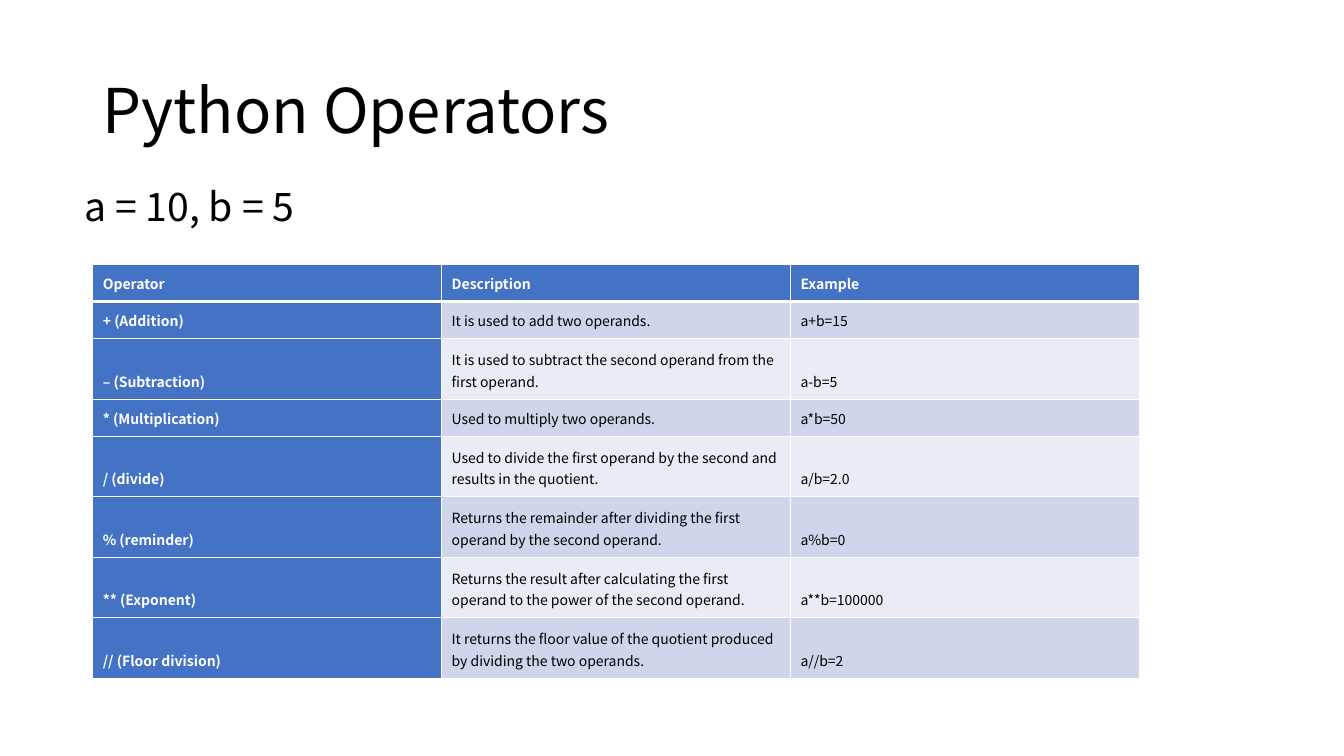
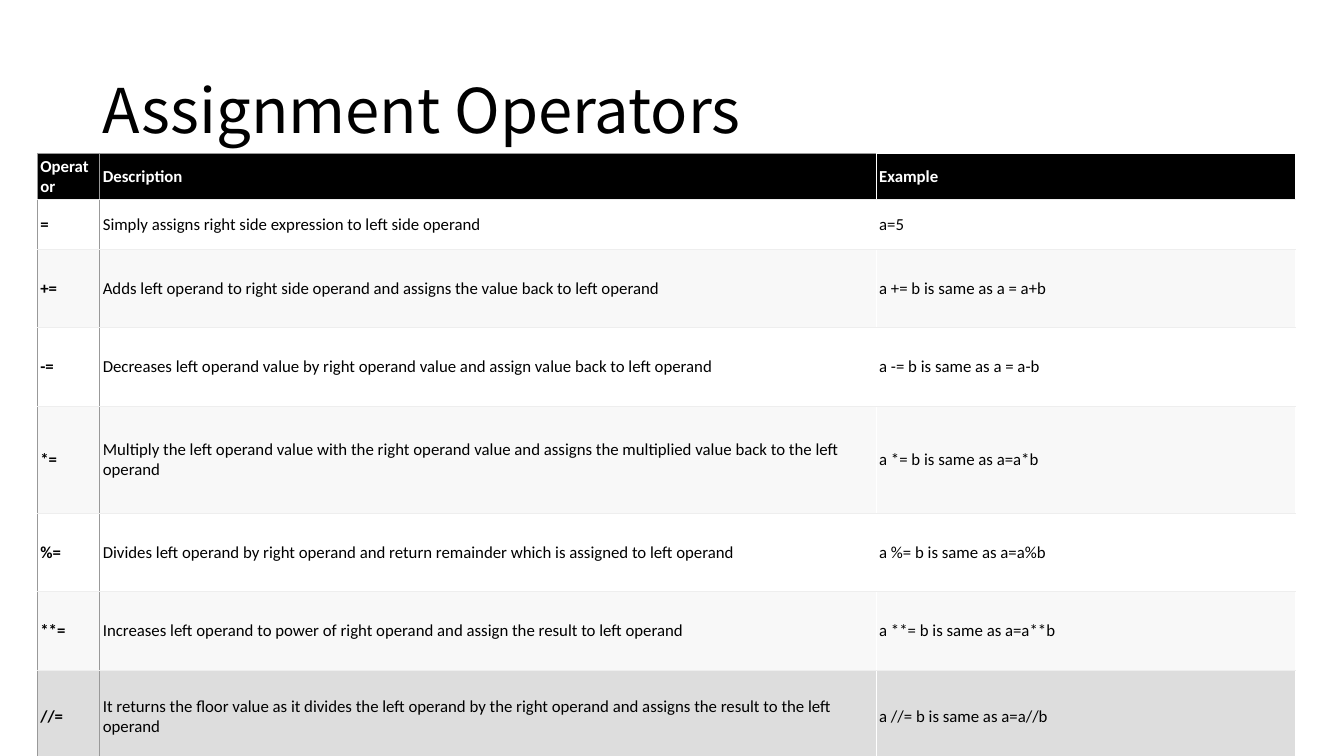
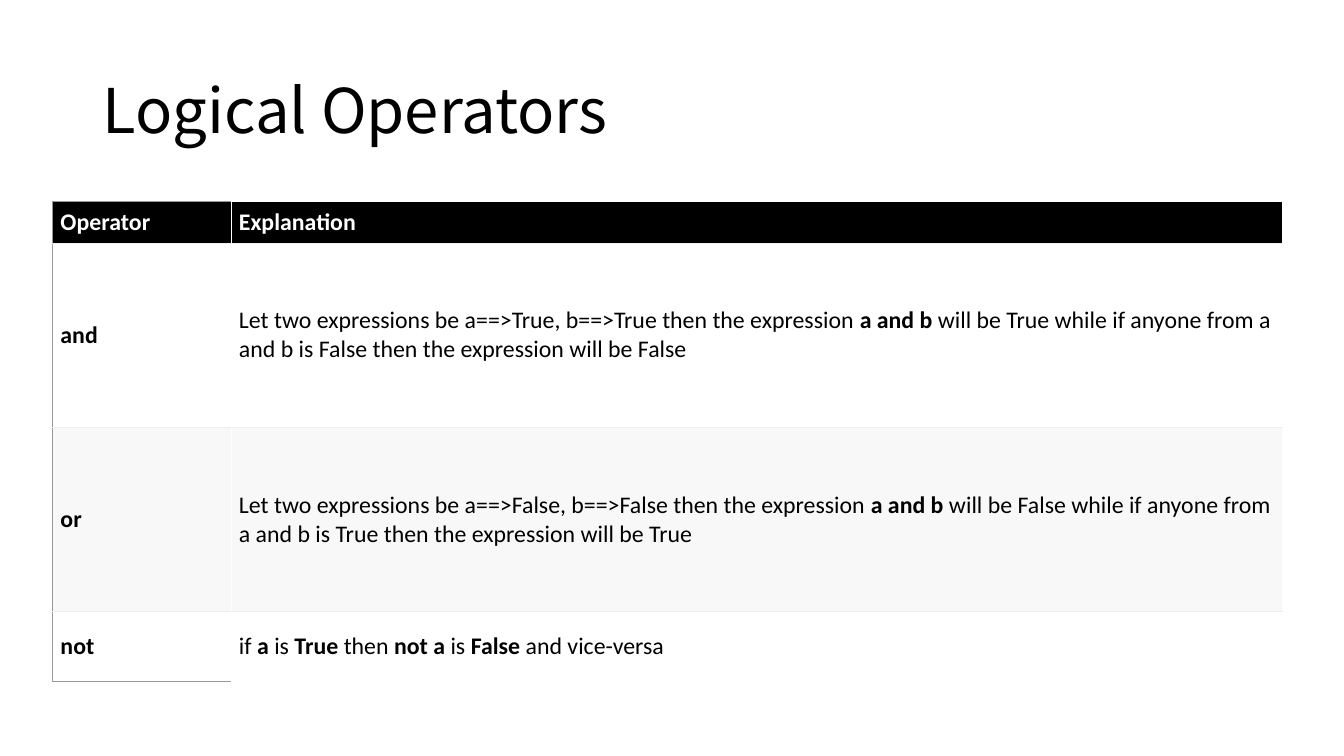
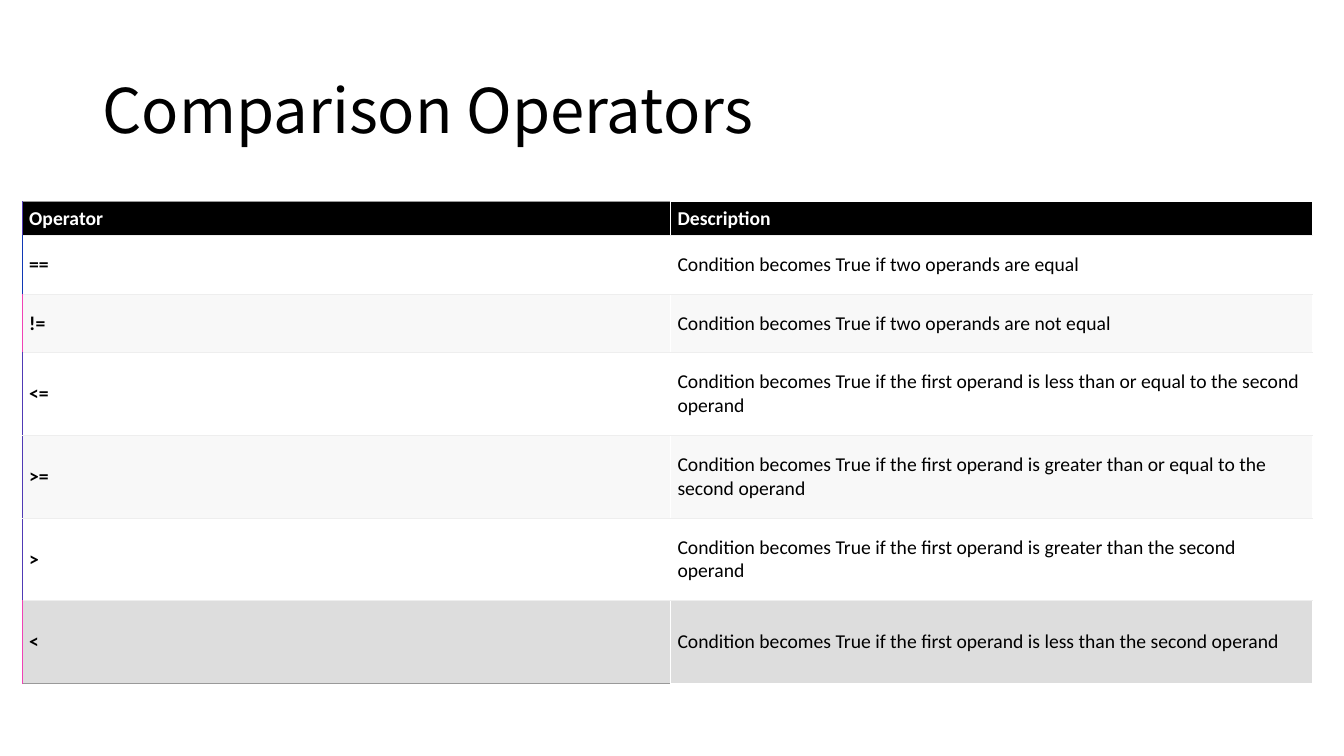
from dataclasses import dataclass
from lxml.etree import SubElement
from pptx import Presentation
from pptx.dml.color import RGBColor
from pptx.enum.text import MSO_ANCHOR
from pptx.oxml.ns import qn
from pptx.util import Inches, Pt

BLACK = RGBColor(0x00, 0x00, 0x00)
WHITE = RGBColor(0xFF, 0xFF, 0xFF)
BLUE = RGBColor(0x44, 0x72, 0xC4)
BAND = RGBColor(0xCF, 0xD5, 0xEA)
PALE = RGBColor(0xE9, 0xEB, 0xF5)
MIST = RGBColor(0xF8, 0xF8, 0xF8)
ASH = RGBColor(0xDD, 0xDD, 0xDD)
RULE = RGBColor(0xEE, 0xEE, 0xEE)
EDGE = RGBColor(0x99, 0x99, 0x99)
NAVY = RGBColor(0x10, 0x38, 0xB5)
PLUM = RGBColor(0x50, 0x3A, 0xB5)
PINK = RGBColor(0xF0, 0x42, 0xB5)

SANS = "Noto Sans CJK KR"
BODY = "Calibri"

MATH = [
    ("Operator", "Description", "Example"),
    ("+ (Addition)", "It is used to add two operands.", "a+b=15"),
    ("– (Subtraction)", "It is used to subtract the second operand from the first operand.", "a-b=5"),
    ("* (Multiplication)", "Used to multiply two operands.", "a*b=50"),
    ("/ (divide)", "Used to divide the first operand by the second and results in the quotient.", "a/b=2.0"),
    ("% (reminder)", "Returns the remainder after dividing the first operand by the second operand.", "a%b=0"),
    ("** (Exponent)", "Returns the result after calculating the first operand to the power of the second operand.",
     "a**b=100000"),
    ("// (Floor division)", "It returns the floor value of the quotient produced by dividing the two operands.",
     "a//b=2"),
]
ASSIGN = [
    ("Operator", "Description", "Example"),
    ("=", "Simply assigns right side expression to left side operand", "a=5"),
    ("+=", "Adds left operand to right side operand and assigns the value back to left operand",
     "a += b is same as a = a+b"),
    ("-=", "Decreases left operand value by right operand value and assign value back to left operand",
     "a -= b is same as a = a-b"),
    ("*=", "Multiply the left operand value with the right operand value and assigns the multiplied value "
     "back to the left operand", "a *= b is same as a=a*b"),
    ("%=", "Divides left operand by right operand and return remainder which is assigned to left operand",
     "a %= b is same as a=a%b"),
    ("**=", "Increases left operand to power of right operand and assign the result to left operand",
     "a **= b is same as a=a**b"),
    ("//=", "It returns the floor value as it divides the left operand by the right operand and assigns "
     "the result to the left operand", "a //= b is same as a=a//b"),
]
LOGIC = [
    ("Operator", "Explanation"),
    ("and", ("Let two expressions be a==>True, b==>True then the expression ", "a and b",
             " will be True while if anyone from a and b is False then the expression will be False")),
    ("or", ("Let two expressions be a==>False, b==>False then the expression ", "a and b",
            " will be False while if anyone from a and b is True then the expression will be True")),
    ("not", ("if ", "a ", "is ", "True ", "then ", "not a", " is ", "False ", "and vice-versa")),
]
COMPARE = [
    ("Operator", "Description"),
    ("==", "Condition becomes True if two operands are equal"),
    ("!=", "Condition becomes True if two operands are not equal"),
    ("<=", "Condition becomes True if the first operand is less than or equal to the second operand"),
    (">=", "Condition becomes True if the first operand is greater than or equal to the second operand"),
    (">", "Condition becomes True if the first operand is greater than the second operand"),
    ("<", "Condition becomes True if the first operand is less than the second operand"),
]


@dataclass
class Style:
    font: str
    size: int
    inset: tuple
    anchor: MSO_ANCHOR
    spacing: float = 1.0
    after: int = 0


def add_run(para, text, font, size, color=BLACK, bold=False):
    run = para.add_run()
    run.text = text
    run.font.name = font
    run.font.size = Pt(size)
    run.font.bold = bold
    run.font.color.rgb = color


def add_text(slide, text, box, size, anchor, before=0):
    frame = slide.shapes.add_textbox(*map(Inches, box)).text_frame
    frame.word_wrap = True
    frame.vertical_anchor = anchor
    para = frame.paragraphs[0]
    para.line_spacing = 0.9
    para.space_before = Pt(before)
    add_run(para, text, SANS, size)


def add_slide(deck, title):
    slide = deck.slides.add_slide(deck.slide_layouts[6])
    add_text(slide, title, (0.92, 0.4, 11.5, 1.45), 44, MSO_ANCHOR.MIDDLE)
    return slide


def draw_edges(cell, sides):
    props = cell._tc.get_or_add_tcPr()
    for side in "LRTB":
        color, width = sides[side]
        line = SubElement(props, qn(f"a:ln{side}"), w=str(Pt(width)))
        fill = SubElement(line, qn("a:solidFill"))
        SubElement(fill, qn("a:srgbClr"), val=str(color))


def fill_cell(cell, content, style, fill, color, bold, sides):
    draw_edges(cell, sides)
    cell.fill.solid()
    cell.fill.fore_color.rgb = fill
    cell.vertical_anchor = style.anchor
    wide, high = map(Inches, style.inset)
    cell.margin_left = cell.margin_right = wide
    cell.margin_top = cell.margin_bottom = high
    para = cell.text_frame.paragraphs[0]
    para.line_spacing = style.spacing
    para.space_after = Pt(style.after)
    parts = (content,) if isinstance(content, str) else content
    for i, part in enumerate(parts):
        add_run(para, part, style.font, style.size, color, bold or i % 2 == 1)


def add_grid(slide, data, left, top, cols, rows, style, paint, border):
    frame = slide.shapes.add_table(len(rows), len(cols), Inches(left), Inches(top),
                                   Inches(sum(cols)), Inches(sum(rows)))
    table = frame.table
    table.first_row = table.horz_banding = False
    for col, width in zip(table.columns, cols):
        col.width = Inches(width)
    for row, height in zip(table.rows, rows):
        row.height = Inches(height)
    for r, line in enumerate(data):
        for c, content in enumerate(line):
            fill, color = paint(r, c)
            fill_cell(table.cell(r, c), content, style, fill, color,
                      r == 0 or c == 0, border(r, c))


def blue_paint(r, c):
    if r == 0 or c == 0:
        return BLUE, WHITE
    return (BAND if r % 2 else PALE), BLACK


def blue_border(r, c):
    sides = dict.fromkeys("LRTB", (WHITE, 1))
    if r == 0:
        sides["B"] = (WHITE, 3)
    if r == 1:
        sides["T"] = (WHITE, 3)
    return sides


def add_dark(slide, data, left, top, cols, rows, size, inset, edges, framed=1, foot=None):
    last = len(rows) - 1

    def paint(r, c):
        if r == 0:
            return BLACK, WHITE
        if r == last and foot:
            return foot, BLACK
        return (WHITE if r % 2 else MIST), BLACK

    def border(r, c):
        rim = EDGE if c < framed else WHITE
        colors = {
            "L": edges[r] if c < framed else WHITE,
            "R": edges[r] if c + 1 < framed else WHITE,
            "T": rim if r == 0 else RULE,
            "B": rim if r == last else RULE,
        }
        return {side: (color, 0.6) for side, color in colors.items()}

    style = Style(BODY, size, inset, MSO_ANCHOR.MIDDLE)
    add_grid(slide, data, left, top, cols, rows, style, paint, border)


def main():
    deck = Presentation()
    deck.slide_width = Inches(13.33)
    deck.slide_height = Inches(7.5)

    slide = add_slide(deck, "Python Operators")
    add_text(slide, "a = 10, b = 5", (0.74, 1.81, 11.5, 0.6), 28, MSO_ANCHOR.TOP, 10)
    style = Style(SANS, 10, (0.1, 0.08), MSO_ANCHOR.BOTTOM, 1.07, 8)
    add_grid(slide, MATH, 0.92, 2.62, [3.46] * 3, [0.37, 0.37, 0.6, 0.37] + [0.6] * 4,
             style, blue_paint, blue_border)

    slide = add_slide(deck, "Assignment Operators")
    add_dark(slide, ASSIGN, 0.37, 1.52, [0.62, 7.7, 4.16],
             [0.46, 0.49, 0.78, 0.78, 1.06, 0.78, 0.78, 0.92],
             12, (0.03, 0.03), [EDGE] * 8, 2, ASH)

    slide = add_slide(deck, "Logical Operators")
    add_dark(slide, LOGIC, 0.52, 2, [1.77, 10.43], [0.41, 1.83, 1.83, 0.69],
             17, (0.08, 0.06), [EDGE] * 4)

    slide = add_slide(deck, "Comparison Operators")
    add_dark(slide, COMPARE, 0.22, 2, [6.43, 6.37], [0.34, 0.58, 0.58] + [0.82] * 4,
             14, (0.07, 0.05), [PLUM, NAVY, PINK, PLUM, PLUM, PLUM, PINK], foot=ASH)

    deck.save("out.pptx")


if __name__ == "__main__":
    main()
